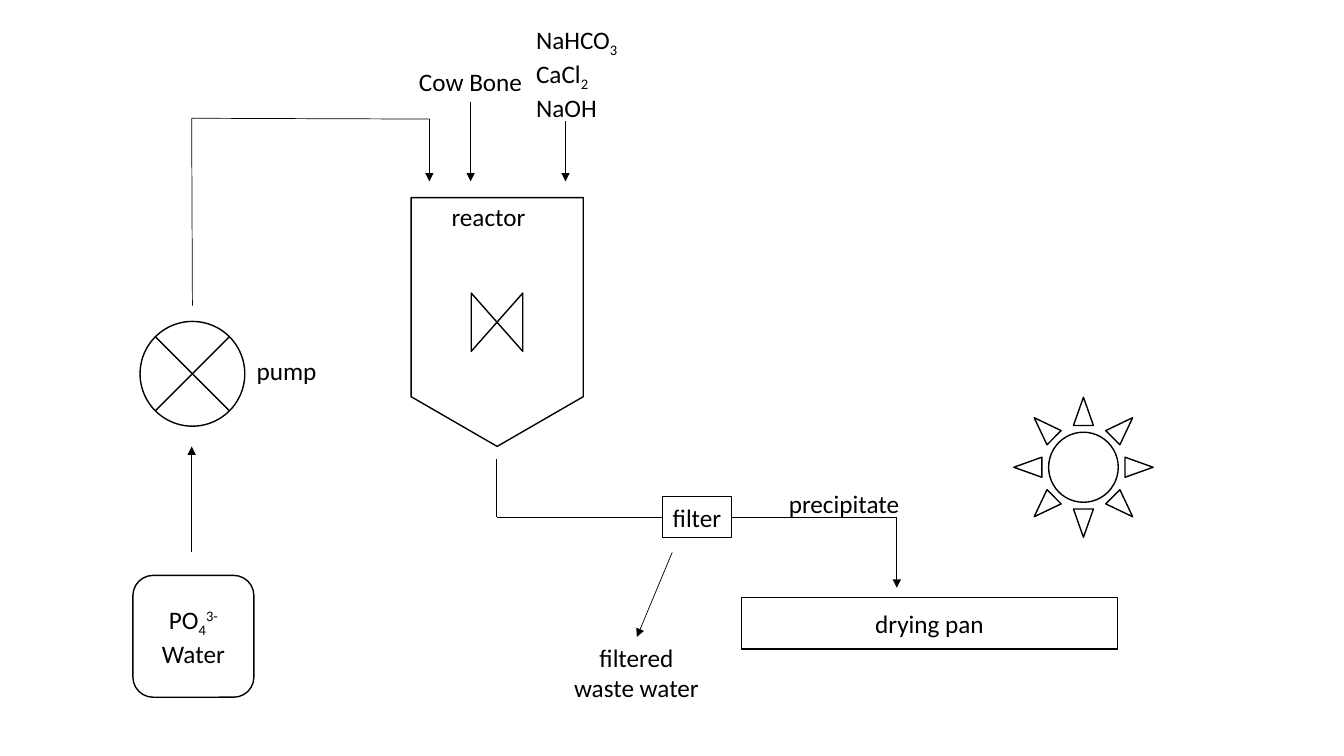
"""Draw the phosphate recovery process: pump, reactor, filter and drying pan."""
from itertools import pairwise

from lxml.etree import SubElement
from pptx import Presentation
from pptx.dml.color import RGBColor
from pptx.enum.shapes import MSO_CONNECTOR, MSO_SHAPE
from pptx.enum.text import MSO_ANCHOR, PP_ALIGN
from pptx.oxml.ns import qn
from pptx.util import Cm, Pt

COLOURS = {"ink": "000000", "paper": "FFFFFF"}
FONT = "Calibri"
TEXT_SIZE = Pt(18)
SUB, SUPER = -25000, 30000


def colour(name):
    return RGBColor.from_string(COLOURS[name])


def write(frame, paragraphs, align):
    """Fill the frame; a paragraph is a list of (text, baseline shift) pairs."""
    for index, parts in enumerate(paragraphs):
        paragraph = frame.paragraphs[0] if index == 0 else frame.add_paragraph()
        paragraph.alignment = align
        paragraph.font.name = FONT
        paragraph.font.size = TEXT_SIZE
        paragraph.font.color.rgb = colour("ink")
        for text, shift in parts:
            run = paragraph.add_run()
            run.text = text
            if shift:
                run._r.get_or_add_rPr().set("baseline", str(shift))


def add_unit(slide, kind, box, parts=(), weight=1, wrap=True):
    unit = slide.shapes.add_shape(kind, *map(Cm, box))
    unit.shadow.inherit = False
    unit.fill.solid()
    unit.fill.fore_color.rgb = colour("paper")
    unit.line.color.rgb = colour("ink")
    unit.line.width = Pt(weight)
    if parts:
        unit.text_frame.word_wrap = wrap
        unit.text_frame.vertical_anchor = MSO_ANCHOR.MIDDLE
        write(unit.text_frame, [parts], PP_ALIGN.CENTER)
    return unit


def add_label(slide, box, paragraphs, align=PP_ALIGN.LEFT, wrap=False):
    frame = slide.shapes.add_textbox(*map(Cm, box)).text_frame
    frame.word_wrap = wrap
    write(frame, paragraphs, align)


def add_flow(slide, *points, arrow=True):
    """Join the points with straight lines, with an arrowhead on the last."""
    for start, end in pairwise(points):
        pipe = slide.shapes.add_connector(
            MSO_CONNECTOR.STRAIGHT, *map(Cm, start + end))
        pipe.line.color.rgb = colour("ink")
        pipe.line.width = Pt(0.5)
        if arrow and end == points[-1]:
            SubElement(pipe.line._get_or_add_ln(), qn("a:tailEnd"), type="triangle")
        SubElement(pipe._element.spPr, qn("a:effectLst"))


def main():
    deck = Presentation()
    deck.slide_width, deck.slide_height = Cm(33.87), Cm(19.05)
    slide = deck.slides.add_slide(deck.slide_layouts[6])

    add_unit(slide, MSO_SHAPE.FLOWCHART_OFFPAGE_CONNECTOR, (10.36, 4.98, 4.34, 6.27))
    add_unit(slide, MSO_SHAPE.FLOWCHART_SUMMING_JUNCTION, (3.53, 8.1, 2.64, 2.64))
    add_unit(slide, MSO_SHAPE.RECTANGLE, (18.69, 15.06, 9.47, 1.3),
             [("drying pan", 0)])
    add_unit(slide, MSO_SHAPE.SUN, (25.55, 10.01, 3.51, 3.53))
    add_unit(slide, MSO_SHAPE.ROUNDED_RECTANGLE, (3.35, 14.5, 3.05, 3.07),
             [("PO", 0), ("4", SUB), ("3-", SUPER), (" Water", 0)])
    stirrer = add_unit(slide, MSO_SHAPE.FLOWCHART_COLLATE, (11.79, 7.47, 1.47, 1.3))
    stirrer.rotation = 90

    add_flow(slide, (4.83, 13.92), (4.83, 11.25))
    add_flow(slide, (4.85, 7.7), (4.83, 2.98), (10.82, 3), (10.82, 4.57))
    add_flow(slide, (11.86, 2.57), (11.86, 4.57))
    add_flow(slide, (14.25, 3.05), (14.25, 4.57))
    add_flow(slide, (12.52, 11.56), (12.52, 13.03), (22.6, 13.03), (22.6, 14.81))
    add_flow(slide, (16.94, 13.92), (16.05, 16.05))
    add_unit(slide, MSO_SHAPE.RECTANGLE, (16.69, 12.52, 1.75, 1.02),
             [("filter", 0)], weight=0.75, wrap=False)

    add_label(slide, (11.13, 4.95, 2.39, 1.02), [[("reactor", 0)]])
    add_label(slide, (6.22, 8.84, 2.03, 1.02), [[("pump", 0)]])
    add_label(slide, (10.31, 1.55, 3.15, 1.02), [[("Cow Bone", 0)]])
    add_label(slide, (19.63, 12.17, 3.33, 1.02), [[("precipitate", 0)]])
    add_label(slide, (13.26, 0.48, 3.68, 2.57),
              [[("NaHCO", 0), ("3", SUB)], [("CaCl", 0), ("2", SUB)], [("NaOH", 0)]],
              wrap=True)
    add_label(slide, (14.15, 16.05, 3.78, 1.8),
              [[("filtered", 0)], [("waste water", 0)]], PP_ALIGN.CENTER, wrap=True)

    deck.save("out.pptx")


if __name__ == "__main__":
    main()
